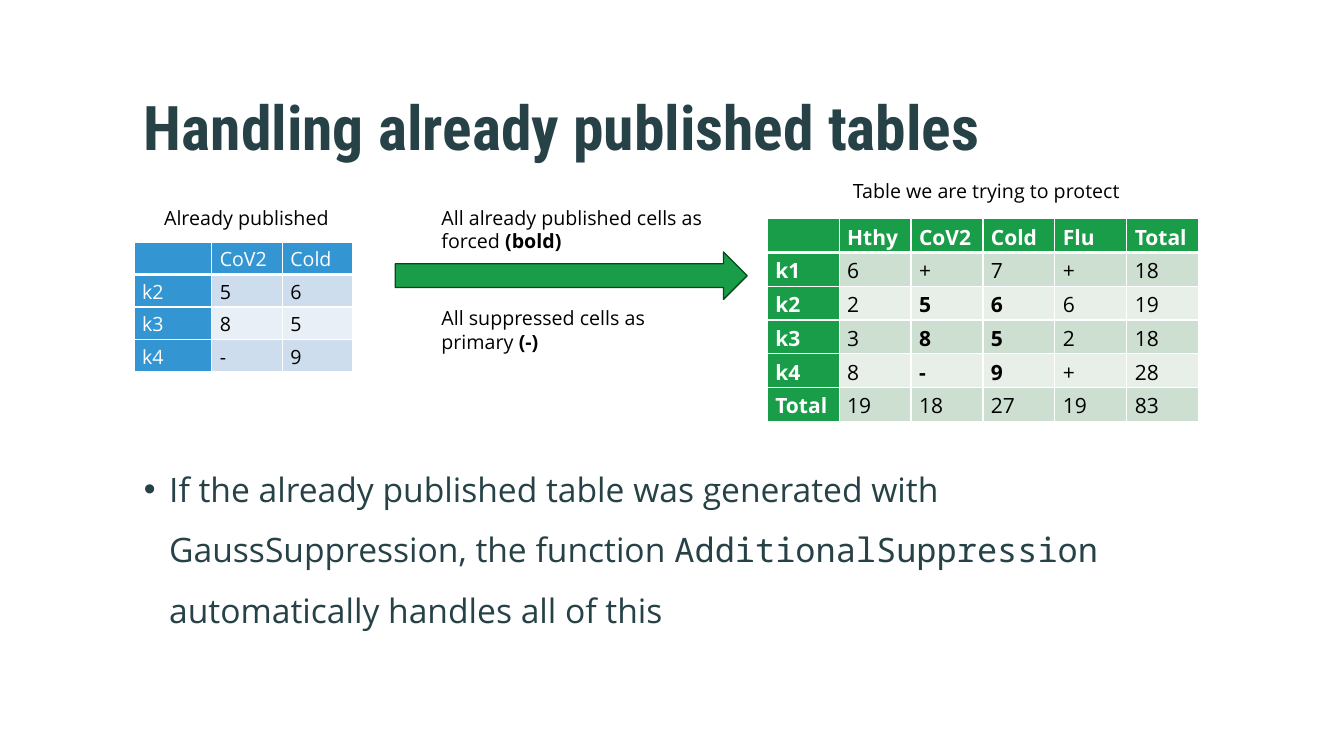
from lxml import etree
from pptx import Presentation, util as u
from pptx.dml.color import RGBColor
from pptx.enum import shapes, text
from pptx.oxml.ns import qn

INK, BLACK, WHITE = "274247", "000000", "FFFFFF"
GREEN, BLUE = "1A9D49", "3396D2"
GREEN_BANDS, BLUE_BANDS = ("CDDFD0", "E8EFE9"), ("CEDDEE", "E8EFF7")
PROTECTED = [
    ["", "Hthy", "CoV2", "Cold", "Flu", "Total"],
    ["k1", "6", "+", "7", "+", "18"],
    ["k2", "2", "5", "6", "6", "19"],
    ["k3", "3", "8", "5", "2", "18"],
    ["k4", "8", "-", "9", "+", "28"],
    ["Total", "19", "18", "27", "19", "83"],
]
PUBLISHED = [["", "CoV2", "Cold"], ["k2", "5", "6"], ["k3", "8", "5"], ["k4", "-", "9"]]
FORCED = {(row, column) for row in (2, 3, 4) for column in (2, 3)}


def color(value):
    """Turn a hex string into a colour."""
    return RGBColor.from_string(value)


def inches(*lengths):
    """Turn numbers into lengths in inches."""
    return [u.Inches(length) for length in lengths]


def apply(target, values):
    """Set attributes of an object from a dict."""
    for name, value in values.items():
        setattr(target, name, value)


def add_span(para, words, size, ink=BLACK, bold=False, face="Open Sans"):
    """Add a formatted run to a paragraph."""
    span = para.add_run()
    span.text = words
    apply(span.font, {"size": u.Pt(size), "bold": bold, "name": face})
    span.font.color.rgb = color(ink)


def add_box(page, box, **frame_format):
    """Add a wrapping text box and return its frame."""
    frame = page.shapes.add_textbox(*inches(*box)).text_frame
    apply(frame, {"word_wrap": True, **frame_format})
    return frame


def add_title(page, box, words):
    """Add the slide title."""
    frame = add_box(page, box, vertical_anchor=text.MSO_ANCHOR.MIDDLE,
                    margin_top=0, margin_bottom=u.Inches(0.05))
    para = frame.paragraphs[0]
    para.line_spacing = 0.9
    add_span(para, words, 44, INK, True, "Roboto Condensed")


def add_label(page, box, words, *last_line):
    """Add a small label with an optional second line ending in bold."""
    frame = add_box(page, box, auto_size=text.MSO_AUTO_SIZE.SHAPE_TO_FIT_TEXT)
    add_span(frame.paragraphs[0], words, 14)
    if last_line:
        para = frame.add_paragraph()
        for part, bold in zip(last_line, (False, True)):
            add_span(para, part, 14, bold=bold)


def add_borders(cell, bottom):
    """Draw white borders around a cell."""
    props = cell._tc.get_or_add_tcPr()
    for place, (side, width) in enumerate(zip(("lnL", "lnR", "lnT", "lnB"), (1, 1, 1, bottom))):
        line = etree.Element(qn(f"a:{side}"), w=str(u.Pt(width)))
        fill = etree.SubElement(line, qn("a:solidFill"))
        etree.SubElement(fill, qn("a:srgbClr"), val=WHITE)
        props.insert(place, line)


def add_grid(page, box, values, widths, size, accent, bands, bold_heads=False, bold_cells=()):
    """Add a banded table with coloured header row and column."""
    grid = page.shapes.add_table(len(values), len(widths), *inches(*box)).table
    for column, width in zip(grid.columns, widths):
        column.width = u.Inches(width)
    for row, line in enumerate(values):
        for column, words in enumerate(line):
            cell = grid.cell(row, column)
            head = row == 0 or column == 0
            apply(cell, {"margin_left": u.Inches(0.08), "margin_right": u.Inches(0.08),
                         "margin_top": u.Inches(0.04), "margin_bottom": u.Inches(0.04)})
            cell.fill.solid()
            cell.fill.fore_color.rgb = color(accent if head else bands[(row - 1) % 2])
            add_borders(cell, 1 if row else 3)
            para = cell.text_frame.paragraphs[0]
            if words:
                bold = bold_heads if head else (row, column) in bold_cells
                add_span(para, words, size, WHITE if head else BLACK, bold)
            else:
                etree.SubElement(para._p, qn("a:endParaRPr"), sz=str(size * 100))


def add_arrow(page, box):
    """Add the block arrow between the tables."""
    arrow = page.shapes.add_shape(shapes.MSO_SHAPE.RIGHT_ARROW, *inches(*box))
    arrow.shadow.inherit = False
    arrow.fill.solid()
    arrow.fill.fore_color.rgb = color(GREEN)
    arrow.line.color.rgb = color("0B4520")
    arrow.line.width = u.Pt(1)


def add_body(page, box):
    """Add the bullet under the tables."""
    para = add_box(page, box).paragraphs[0]
    apply(para, {"line_spacing": 1.5, "space_after": u.Pt(9)})
    props = para._p.get_or_add_pPr()
    props.set("marL", str(u.Inches(0.25)))
    props.set("indent", str(u.Inches(-0.25)))
    etree.SubElement(props, qn("a:buFont"), typeface="Arial")
    etree.SubElement(props, qn("a:buChar"), char="•")
    add_span(para, "If the already published table was generated with "
             "GaussSuppression, the function ", 24, INK)
    add_span(para, "AdditionalSuppression ", 24, INK, face="Noto Sans Mono")
    add_span(para, "automatically handles all of this", 24, INK)


def main():
    """Build and save the slide."""
    deck = Presentation()
    apply(deck, {"slide_width": u.Inches(13.33), "slide_height": u.Inches(7.5)})
    page = deck.slides.add_slide(deck.slide_layouts[6])
    add_title(page, (1.33, 0.6, 10.56, 1.43), "Handling already published tables")
    add_grid(page, (7.61, 2.17, 4.28, 2.01), PROTECTED, [4.28 / 6] * 6, 15,
             GREEN, GREEN_BANDS, True, FORCED)
    add_grid(page, (1.33, 2.4, 2.17, 1.29), PUBLISHED, (0.77, 0.7, 0.7), 14, BLUE, BLUE_BANDS)
    add_label(page, (1.53, 1.99, 2.17, 0.34), "Already published")
    add_label(page, (8.36, 1.73, 2.99, 0.34), "Table we are trying to protect")
    add_arrow(page, (3.92, 2.5, 3.49, 0.47))
    add_label(page, (4.28, 1.99, 2.89, 0.57), "All already published cells as", "forced ", "(bold)")
    add_label(page, (4.28, 2.99, 2.89, 0.57), "All suppressed cells as", "primary ", "(-)")
    add_body(page, (1.33, 4.4, 10.56, 1.99))
    deck.save("out.pptx")


if __name__ == "__main__":
    main()
